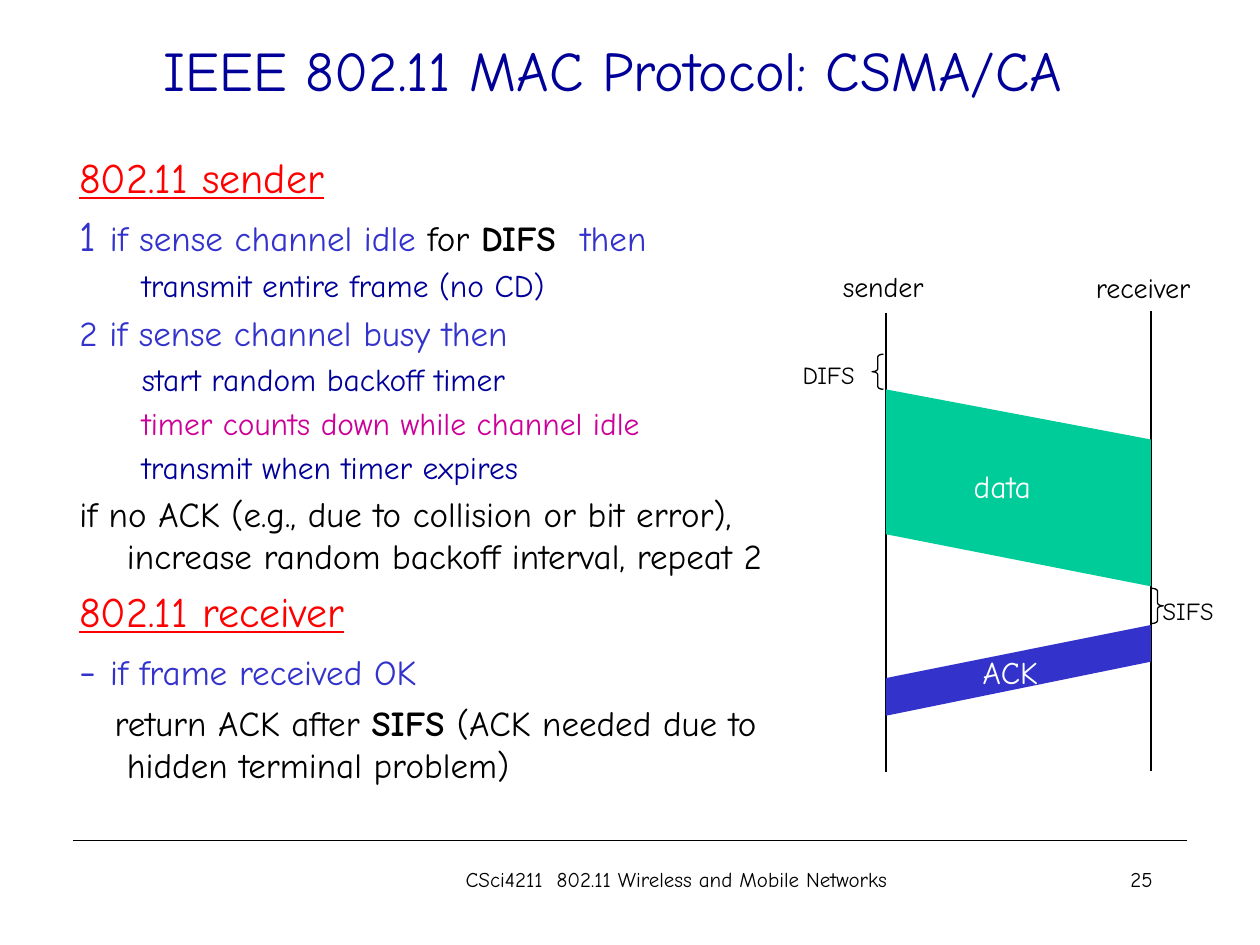
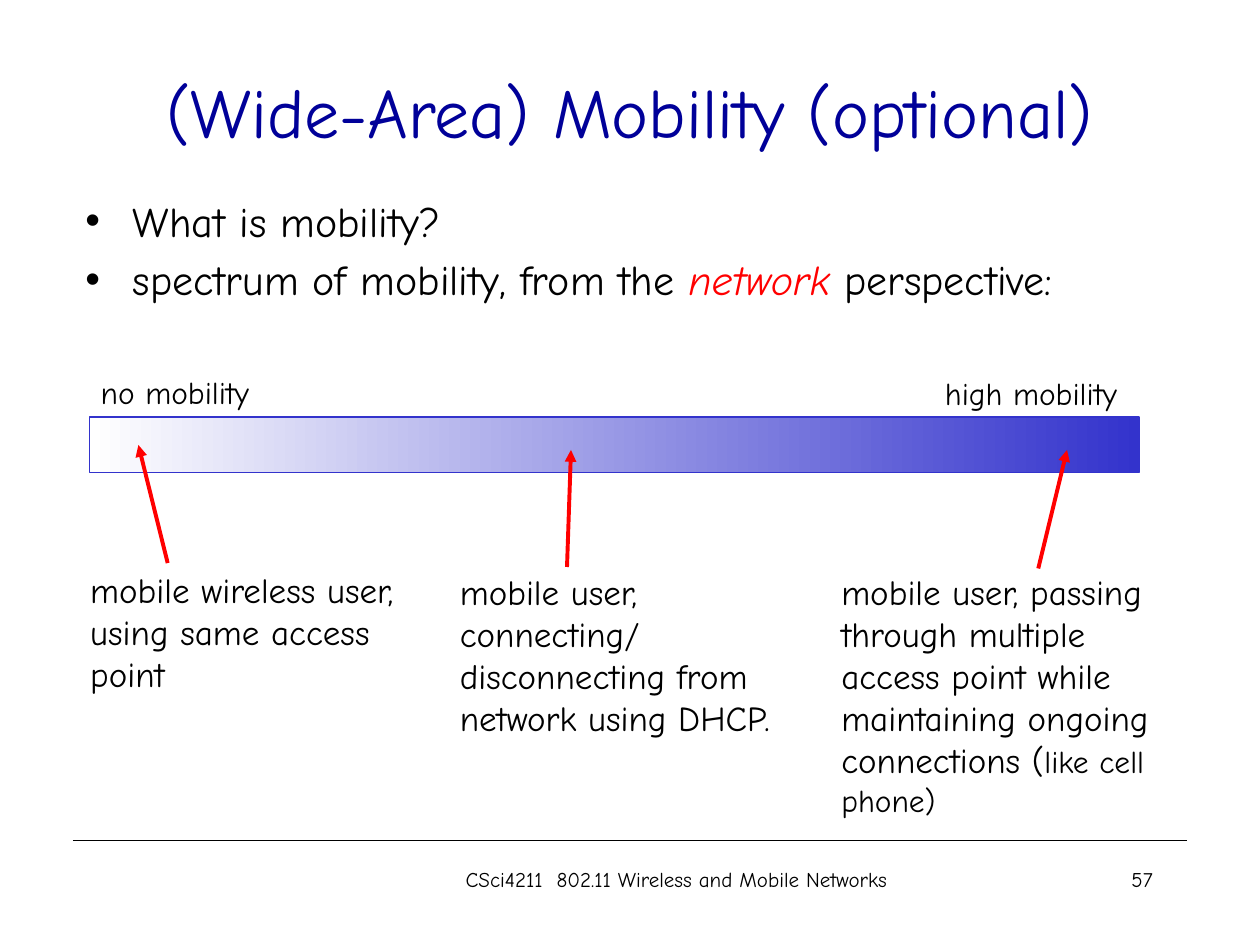
from lxml.etree import SubElement
from pptx import Presentation
from pptx.dml.color import RGBColor
from pptx.enum.shapes import MSO_CONNECTOR, MSO_SHAPE
from pptx.enum.text import MSO_ANCHOR, MSO_AUTO_SIZE, PP_ALIGN
from pptx.oxml.ns import qn
from pptx.util import Cm, Pt

BLACK, WHITE, RED = "000000", "FFFFFF", "FF0000"
NAVY, BLUE, PINK, GREEN = "000099", "3333CC", "CC0099", "00CC99"
LEFT, CENTER, RIGHT = PP_ALIGN.LEFT, PP_ALIGN.CENTER, PP_ALIGN.RIGHT
FOOT = "CSci4211  802.11 Wireless and Mobile Networks"
HANG, INNER, NEAR = (0.96, -0.96), (2.06, -0.8), (0.96, -0.25)


def tint(code):
    """Turn a hex string into a colour."""
    return RGBColor.from_string(code)


def put(target, values):
    """Set every value of a format dict on the target."""
    for name, value in values.items():
        setattr(target, name, value)


def run(text, size=20, color=BLACK, **font):
    """Describe one run of text."""
    return text, size, color, font


def line(*runs, dent=None, dot=None, gap=0.2):
    """Describe one line of body text, its gap a share of its size."""
    return runs, dent, dot, gap


class Deck:
    """Holds the style and the current slide."""

    face = "Comic Neue"

    def __init__(self):
        """Open an empty deck of 10 by 7.5 inches."""
        self.prs = Presentation()
        put(self.prs, {"slide_width": Cm(25.4), "slide_height": Cm(19.05)})

    def page(self, number, title, size, left, top):
        """Start a slide with its title, rule and footer."""
        self.slide = self.prs.slides.add_slide(self.prs.slide_layouts[6])
        self.shapes = self.slide.shapes
        self.rule((1.47, 16.94), (23.93, 16.94))
        self.label(number, 18.21, 17.35, 5.28, 1.27, 12, align=RIGHT)
        self.label(FOOT, 8.46, 17.35, 10.36, 1.27, 12, align=CENTER)
        self.label(title, left, top, 21.59, 3.18, size, NAVY,
                   align=CENTER, anchor=MSO_ANCHOR.MIDDLE)

    def text(self, lines, x, y, w, h, align=LEFT, wrap=True, grow=False,
             anchor=MSO_ANCHOR.TOP):
        """Add a text box made of described lines."""
        frame = self.shapes.add_textbox(Cm(x), Cm(y), Cm(w), Cm(h)).text_frame
        fit = MSO_AUTO_SIZE.SHAPE_TO_FIT_TEXT if grow else MSO_AUTO_SIZE.NONE
        put(frame, {"word_wrap": wrap, "auto_size": fit,
                    "vertical_anchor": anchor})
        for i, (runs, dent, dot, gap) in enumerate(lines):
            para = frame.add_paragraph() if i else frame.paragraphs[0]
            tall = max(size for _, size, _, _ in runs)
            put(para, {"alignment": align, "space_before": Pt(gap * tall),
                       "level": int(dent == INNER)})
            self.dent(para, dent, dot)
            for words, size, color, font in runs:
                part = para.add_run()
                part.text = words
                put(part.font, {"name": self.face, "size": Pt(size), **font})
                part.font.color.rgb = tint(color)

    def dent(self, para, dent, dot):
        """Set the indent and the bullet of a paragraph."""
        props = para._p.get_or_add_pPr()
        if dent:
            for key, value in zip(("marL", "indent"), dent):
                props.set(key, str(Cm(value)))
        if dot:
            SubElement(props, qn("a:buFont")).set("typeface", "Arial")
            SubElement(props, qn("a:buChar")).set("char", dot)

    def label(self, words, x, y, w, h, size, color=BLACK, **box):
        """Add a text box of one plain line."""
        self.text([line(run(words, size, color), gap=0)], x, y, w, h, **box)

    def tag(self, words, x, y, w, h, size, color=BLACK):
        """Add a short label that does not wrap."""
        self.label(words, x, y, w, h, size, color, wrap=False, grow=True)

    def rule(self, start, end, color=BLACK, width=0.75, arrow=False):
        """Add a straight line, with an arrowhead at its end if asked."""
        ends = [Cm(v) for v in (*start, *end)]
        link = self.shapes.add_connector(MSO_CONNECTOR.STRAIGHT, *ends)
        link.line.color.rgb = tint(color)
        link.line.width = Pt(width)
        if arrow:
            tail = SubElement(link.line._get_or_add_ln(), qn("a:tailEnd"))
            tail.set("type", "triangle")
        SubElement(link._element.spPr, qn("a:effectLst"))

    def shape(self, kind, x, y, w, h, color):
        """Add an outlined preset shape with no fill."""
        item = self.shapes.add_shape(kind, Cm(x), Cm(y), Cm(w), Cm(h))
        item.shadow.inherit = False
        item.fill.background()
        item.line.color.rgb = tint(color)
        item.line.width = Pt(0.75)
        return item

    def brace(self, kind, x, y):
        """Add a small brace beside a time line."""
        item = self.shape(kind, x, y, 0.23, 0.71, BLACK)
        item.adjustments[0] = 0.25

    def fade(self, x, y, w, h, first, last):
        """Add a bar that fades from one colour to another."""
        fill = self.shape(MSO_SHAPE.RECTANGLE, x, y, w, h, last).fill
        fill.gradient()
        fill.gradient_angle = 0
        for stop, color, place in zip(fill.gradient_stops, (first, last), (0, 1)):
            stop.color.rgb = tint(color)
            stop.position = place

    def band(self, points, color):
        """Add a filled outline through the points."""
        spots = [(Cm(x), Cm(y)) for x, y in points]
        pen = self.shapes.build_freeform(*spots[0], scale=1.0)
        pen.add_line_segments(spots[1:], close=True)
        item = pen.convert_to_shape()
        item.shadow.inherit = False
        item.fill.solid()
        item.fill.fore_color.rgb = tint(color)
        item.line.fill.background()


def access(deck):
    """Draw the slide on the access protocol."""
    deck.page("25", "IEEE 802.11 MAC Protocol: CSMA/CA", 32, 1.57, -0.2)

    def head(words):
        """Describe a heading."""
        return line(run(words, 24, RED, underline=True), dent=HANG)

    def step(words, color=NAVY):
        """Describe a step below a case."""
        return line(run(words, 18, color), dent=INNER)

    deck.text([
        head("802.11 sender"),
        line(run("1 ", 24, BLUE), run("if sense channel idle", color=BLUE),
             run(" for "), run("DIFS  ", bold=True), run("then", color=BLUE),
             dent=HANG),
        step("transmit entire frame (no CD)"),
        line(run("2 if sense channel busy then", color=BLUE), dent=HANG),
        step("start random backoff timer"),
        step("timer counts down while channel idle", PINK),
        step("transmit when timer expires"),
        line(run("if no ACK (e.g., due to collision or bit error), "
                 "increase random backoff interval, repeat 2"), dent=HANG),
        head("802.11 receiver"),
        line(run("- ", 24, BLUE), run("if frame received OK", color=BLUE),
             dent=HANG),
        line(run("return ACK after "), run("SIFS ", bold=True),
             run("(ACK needed due to hidden terminal problem)"), dent=NEAR),
    ], 1.35, 2.92, 15.65, 13.77)

    near, far = 17.86, 23.2
    deck.rule((near, 6.3), (near, 15.57))
    deck.rule((far, 6.27), (far, 15.54))
    deck.tag("sender", 16.74, 5.31, 2.31, 0.94, 16)
    deck.tag("receiver", 21.84, 5.33, 2.72, 0.94, 16)
    deck.brace(MSO_SHAPE.LEFT_BRACE, 17.58, 7.14)
    deck.tag("DIFS", 15.93, 7.14, 1.78, 0.84, 14)
    deck.band([(near, 7.85), (far, 8.86), (far, 11.82), (near, 10.77)], GREEN)
    deck.tag("data", 19.38, 9.3, 1.83, 1.02, 18, WHITE)
    deck.tag("SIFS", 23.19, 11.89, 1.78, 0.84, 14)
    deck.brace(MSO_SHAPE.RIGHT_BRACE, 23.22, 11.86)
    deck.band([(near, 14.43), (far, 13.34), (far, 12.6), (near, 13.67)], BLUE)
    deck.tag("ACK", 19.56, 13.03, 1.75, 1.02, 18, WHITE)


def moving(deck):
    """Draw the slide on the range of mobility."""
    deck.page("57", "(Wide-Area) Mobility (optional)", 40, 1.9, 0.64)
    deck.text([
        line(run("What is mobility?", 24), dent=HANG, dot="•"),
        line(run("spectrum of mobility, from the ", 24),
             run("network", 24, RED, italic=True),
             run(" perspective:", 24), dent=HANG, dot="•"),
    ], 1.47, 3.81, 22.78, 2.67)
    deck.fade(1.8, 8.41, 21.16, 1.12, WHITE, BLUE)
    deck.tag("no mobility", 1.78, 7.39, 3.73, 1.02, 18)
    deck.tag("high mobility", 18.8, 7.42, 4.29, 1.02, 18)

    user = ("mobile wireless user,", "using same access", "point")
    deck.text([line(run(words), gap=0) for words in user],
              1.57, 11.33, 7.57, 2.79, wrap=False, grow=True)
    deck.label("mobile user, connecting/ disconnecting from network using DHCP.",
               9.02, 11.38, 6.76, 4.5, 20, grow=True)
    deck.text([line(run("mobile user, passing through multiple access point "
                        "while maintaining ongoing connections ("),
                    run("like cell phone)", 18), gap=0)],
              16.71, 11.38, 7.47, 5.26, grow=True)
    for start, end in (((3.38, 11.35), (2.79, 8.97)),
                       ((11.43, 11.43), (11.51, 9.07)),
                       ((20.93, 11.46), (21.51, 9.07))):
        deck.rule(start, end, RED, 2.25, arrow=True)


def main():
    """Build both slides and save them."""
    deck = Deck()
    access(deck)
    moving(deck)
    deck.prs.save("out.pptx")


if __name__ == "__main__":
    main()
